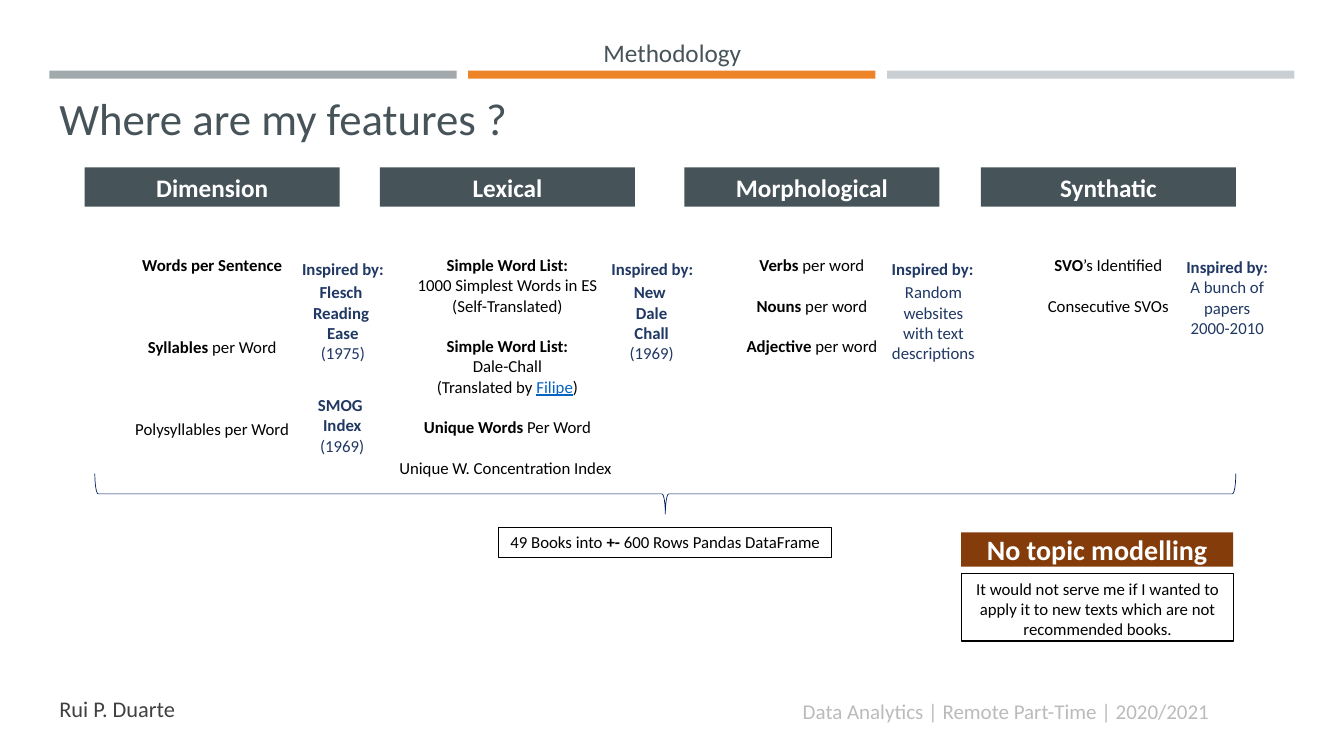
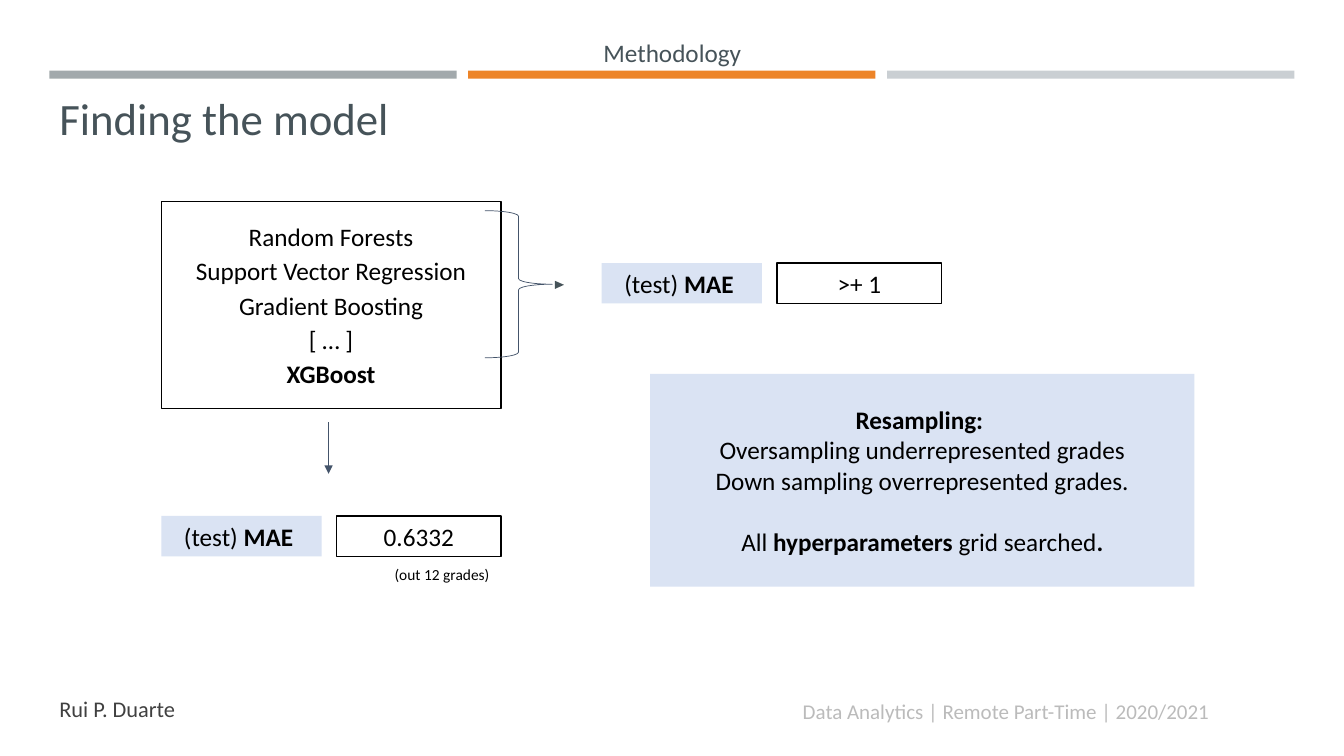
import pptx
import pptx.dml.color
import pptx.enum.shapes
import pptx.enum.text
import pptx.oxml.ns
import pptx.util
import lxml.etree

Pt = pptx.util.Pt
SHAPE = pptx.enum.shapes.MSO_SHAPE
ANCHOR = pptx.enum.text.MSO_ANCHOR
ALIGN = pptx.enum.text.PP_ALIGN

# Shared style
FONT = "Calibri"
LINE_HEIGHT = 1.22
SLATE, WHITE, BLACK = "465359", "FFFFFF", "000000"
NAVY, NOTE_BLUE, LINK_BLUE = "002060", "203864", "0563C1"
STEEL, PALE_BLUE, BROWN = "44546A", "DAE3F3", "843C0B"
BANDS = ["A2A9AC", "ED8428", "CACFD3"]
SECTION = "Methodology"
AUTHOR = "Rui P. Duarte"
COURSE = "Data Analytics | Remote Part-Time | 2020/2021"

# Text lines: *bold*, _link look_; (text, n) leaves a gap of n lines before it
FEATURES = [
    (60.5, "Dimension", ["*Words per Sentence*", ("*Syllables* per Word", 3),
                         ("Polysyllables per Word", 3)]),
    (271.4, "Lexical", ["*Simple Word List:*", "1000 Simplest Words in ES",
                        "(Self-Translated)", ("*Simple Word List:*", 1),
                        "Dale-Chall", "(Translated by _Filipe_)",
                        ("*Unique Words* Per Word", 1),
                        ("Unique W. Concentration Index ", 1)]),
    (488.9, "Morphological", ["*Verbs* per word", ("*Nouns* per word", 1),
                              ("*Adjective* per word", 1)]),
    (700.6, "Synthatic", ["*SVO*\u2019s Identified", ("Consecutive SVOs", 1)]),
]
INSPIRED = "*Inspired by:*"
NOTES = [
    ((5, 181.4, 480, 21.6), [INSPIRED]),
    ((226, 181.4, 480, 21.6), [INSPIRED]),
    ((426.2, 181.4, 480, 21.6), [INSPIRED]),
    ((170, 198, 150, 65.5), ["*Flesch *", "*Reading *", "*Ease*", "(1975)"]),
    ((183.6, 278.6, 121.7, 51), ["*SMOG *", "*Index*", "(1969)"]),
    ((432.7, 198, 65.5, 65.5), ["*New *", "*Dale*", "*Chall*", "(1969)"]),
    ((629.3, 198, 75, 65.5), ["Random websites with text descriptions"]),
    ((838.8, 180, 75.6, 65.5), [INSPIRED, "A bunch of papers 2000-2010"]),
]
DATAFRAME = "49 Books into *+-* 600 Rows Pandas DataFrame "
NO_TOPICS = "*No topic modelling*"
NO_TOPICS_WHY = ("It would not serve me if I wanted to apply it to new texts "
                 "which are not recommended books.")

MODELS = ["Random Forests", "Support Vector Regression", "Gradient Boosting",
          "[ \u2026 ]", "*XGBoost*"]
SCORES = [(115.2, 368.6, "0.6332"), (429.8, 187.9, ">+ 1")]
RESAMPLING = ["*Resampling: *", "Oversampling underrepresented grades",
              "Down sampling overrepresented grades.",
              ("All *hyperparameters* grid searched*.*", 1)]


def rgb(value):
    """Turn a hex string into a colour."""
    return pptx.dml.color.RGBColor.from_string(value)


def add_runs(p, text, size, color):
    """Write marked-up text as runs of one paragraph."""
    for i, part in enumerate(text.split("*")):
        for j, piece in enumerate(part.split("_")):
            if not piece:
                continue
            r = p.add_run()
            r.text = piece
            r.font.name = FONT
            r.font.size = Pt(size)
            r.font.bold = i % 2 == 1
            r.font.underline = j % 2 == 1
            r.font.color.rgb = rgb(LINK_BLUE if j % 2 else color)


def add_text(sp, lines, size=12, color=BLACK, align=ALIGN.CENTER,
             anchor=ANCHOR.TOP, spacing=None, after=0):
    """Fill a shape with formatted paragraphs."""
    tf = sp.text_frame
    tf.word_wrap = True
    tf.vertical_anchor = anchor
    for i, item in enumerate(lines):
        text, gap = item if isinstance(item, tuple) else (item, 0)
        p = tf.paragraphs[0] if i == 0 else tf.add_paragraph()
        p.alignment = align
        p.space_before = Pt(round(gap * LINE_HEIGHT * size, 1))
        p.space_after = Pt(after)
        if spacing:
            p.line_spacing = spacing
        add_runs(p, text, size, color)


def add_label(s, frame, lines, **fmt):
    """Add a plain text box."""
    add_text(s.shapes.add_textbox(*map(Pt, frame)), lines, **fmt)


def add_shape(s, frame, kind=SHAPE.RECTANGLE, fill=None, line=None, width=1,
              rotation=0):
    """Add a flat preset shape with optional fill and outline."""
    sp = s.shapes.add_shape(kind, *map(Pt, frame))
    sp.shadow.inherit = False
    sp.rotation = rotation
    if fill:
        sp.fill.solid()
        sp.fill.fore_color.rgb = rgb(fill)
    else:
        sp.fill.background()
    if line:
        sp.line.color.rgb = rgb(line)
        sp.line.width = Pt(width)
    else:
        sp.line.fill.background()
    return sp


def add_arrow(s, x1, y1, x2, y2):
    """Add a thin straight arrow."""
    c = s.shapes.add_connector(pptx.enum.shapes.MSO_CONNECTOR.STRAIGHT,
                               *map(Pt, (x1, y1, x2, y2)))
    c.line.color.rgb = rgb(STEEL)
    c.line.width = Pt(0.5)
    qn = pptx.oxml.ns.qn
    lxml.etree.SubElement(c.line._get_or_add_ln(), qn("a:tailEnd"),
                          type="triangle")
    lxml.etree.SubElement(c._element.spPr, qn("a:effectLst"))


def add_slide(prs, title):
    """Add a slide with bands, section name, title and footers."""
    s = prs.slides.add_slide(prs.slide_layouts[6])
    for i, color in enumerate(BANDS):
        add_shape(s, (35.3 + i * 299.2, 50.4, 290.9, 5.8), fill=color)
    add_label(s, (35.3, 56.9, 422.6, 58.3), [title], size=32, color=SLATE,
              align=ALIGN.LEFT, anchor=ANCHOR.MIDDLE, spacing=0.9)
    add_label(s, (35.3, 495.4, 143.3, 28.8), [AUTHOR], size=16,
              color="404040", align=ALIGN.LEFT, spacing=0.9)
    add_label(s, (560.9, 499, 315.4, 22.3), [COURSE], size=15,
              color="BBBBBB", anchor=ANCHOR.MIDDLE, spacing=0.7)
    add_label(s, (334.8, 23, 290.9, 28.8), [SECTION], size=18, color=SLATE)
    return s


def build_features(prs):
    """Slide with the four groups of features."""
    s = add_slide(prs, "Where are my features ?")
    for x, name, lines in FEATURES:
        add_text(add_shape(s, (x, 119.5, 182.2, 28.1), fill=SLATE),
                 [f"*{name}*"], size=18, color=WHITE, anchor=ANCHOR.MIDDLE)
        add_label(s, (x, 178.6, 182.2, 216), lines)
    for frame, lines in NOTES:
        add_label(s, frame, lines, color=NOTE_BLUE)
    add_shape(s, (460.8, -54.7, 28.8, 815), SHAPE.RIGHT_BRACE, line=NAVY,
              width=0.5, rotation=90)
    add_text(add_shape(s, (356.4, 376.6, 237.6, 21.6), line=BLACK, width=0.75),
             [DATAFRAME])
    add_text(add_shape(s, (686.5, 380.2, 194.4, 24.5), fill=BROWN),
             [NO_TOPICS], size=20, color=WHITE, anchor=ANCHOR.MIDDLE)
    add_text(add_shape(s, (686.9, 409.7, 194.4, 48.2), line=BLACK),
             [NO_TOPICS_WHY])


def build_model(prs):
    """Slide with the models tried and their scores."""
    s = add_slide(prs, "Finding the model")
    middle = {"size": 18, "anchor": ANCHOR.MIDDLE}
    for x, y, score in SCORES:
        add_text(add_shape(s, (x, y, 114.5, 28.8), fill=PALE_BLUE),
                 ["(test) *MAE *"], **middle)
        add_text(add_shape(s, (x + 125.3, y, 117.4, 28.8), line=BLACK),
                 [score], **middle)
    add_text(add_shape(s, (115.2, 144, 242.6, 147.6), line=BLACK), MODELS,
             after=3, **middle)
    add_arrow(s, 234.7, 301.7, 234.7, 338.4)
    add_shape(s, (346.3, 150.5, 48.2, 105.1), SHAPE.RIGHT_BRACE, line=STEEL,
              width=0.5)
    add_shape(s, (396.7, 200.2, 5.8, 6.5), SHAPE.ISOSCELES_TRIANGLE,
              fill=SLATE, rotation=90)
    add_text(add_shape(s, (464.4, 267.1, 388.8, 151.9), fill=PALE_BLUE),
             RESAMPLING, **middle)
    add_label(s, (274.3, 401, 83, 18), ["(out 12 grades)"], size=11,
              anchor=ANCHOR.MIDDLE)


prs = pptx.Presentation()
prs.slide_width, prs.slide_height = Pt(960), Pt(540)
build_features(prs)
build_model(prs)
prs.save("out.pptx")
